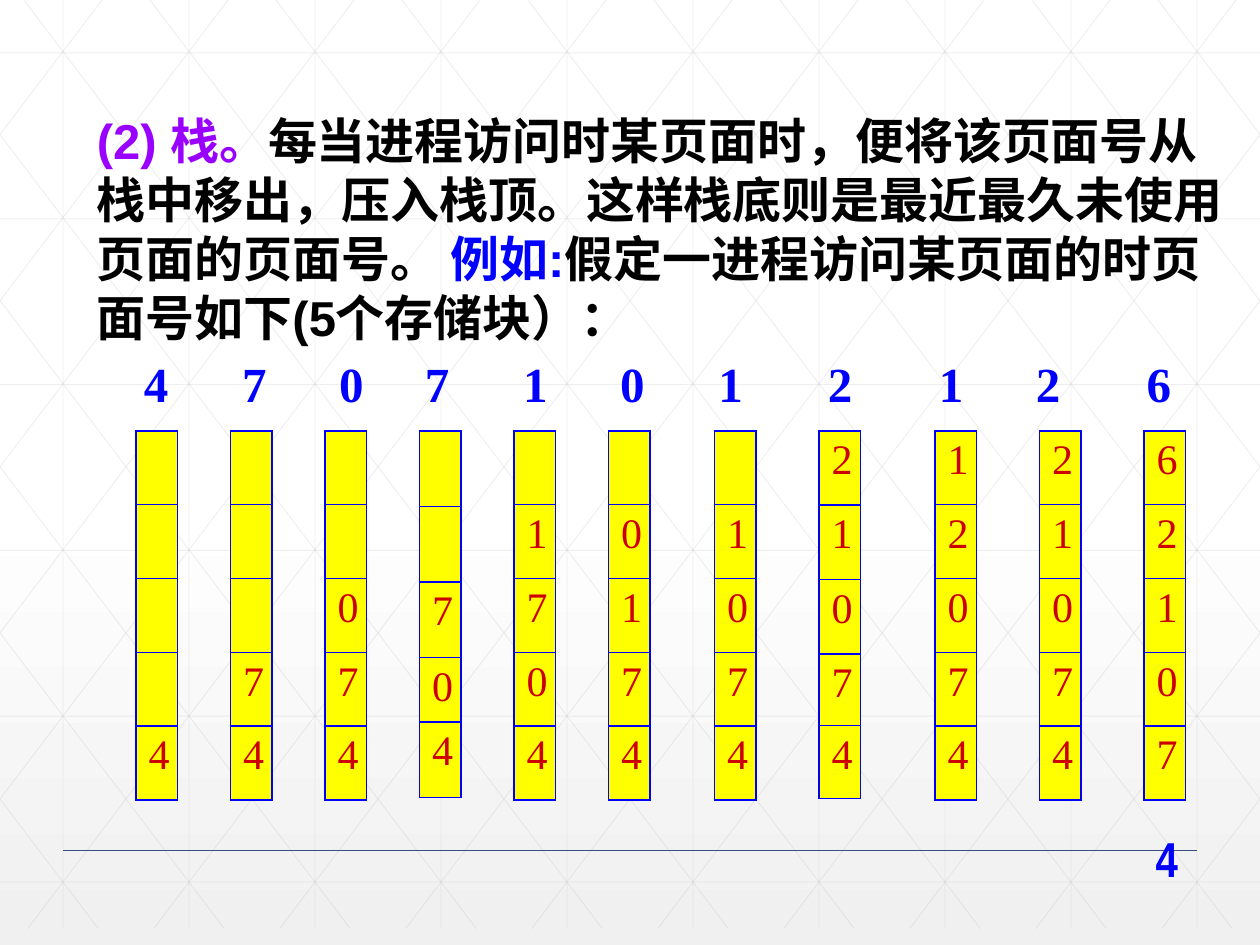
from lxml.etree import SubElement
from pptx import Presentation
from pptx.dml.color import RGBColor
from pptx.enum.shapes import MSO_CONNECTOR
from pptx.enum.text import MSO_AUTO_SIZE, PP_ALIGN
from pptx.oxml.ns import qn
from pptx.util import Inches, Pt

WHITE = RGBColor(0xFF, 0xFF, 0xFF)
PALE_GRAY = RGBColor(0xF0, 0xF0, 0xF0)
GRID_GRAY = RGBColor(0xBF, 0xBF, 0xBF)
RULE_BLUE = RGBColor(0x38, 0x4C, 0x81)
PURPLE = RGBColor(0x99, 0x00, 0xFF)
BLACK = RGBColor(0x00, 0x00, 0x00)
BLUE = RGBColor(0x00, 0x00, 0xFF)
YELLOW = RGBColor(0xFF, 0xFF, 0x00)
RED = RGBColor(0xCC, 0x00, 0x00)

WIDTH, GRID_BOTTOM = 10, 7.37
DIAGONAL_RUN = 5.59  # horizontal travel of a full diagonal
STACK_TOP, STACK_WIDTH, DEPTH = 3.42, 0.33, 5
EVEN_ROWS = [0.586] * DEPTH

# Page visited: centre of its number, left of its stack, stack from the top down
VISITS = [
    ("4", 1.24, 1.08, "4"),
    ("7", 2.02, 1.83, "74"),
    ("0", 2.79, 2.58, "074"),
    ("7", 3.47, 3.33, "704"),
    ("1", 4.25, 4.08, "1704"),
    ("0", 5.02, 4.83, "0174"),
    ("1", 5.8, 5.67, "1074"),
    ("2", 6.67, 6.5, "21074"),
    ("1", 7.55, 7.42, "12074"),
    ("2", 8.32, 8.25, "21074"),
    ("6", 9.2, 9.08, "62107"),
]
UNEVEN_ROWS = {3: [0.6, 0.6, 0.6, 0.51, 0.6], 7: [0.59, 0.59, 0.59, 0.57, 0.58]}


def add_line(s, x1, y1, x2, y2, color, width, alpha=None):
    line = s.shapes.add_connector(
        MSO_CONNECTOR.STRAIGHT, Inches(x1), Inches(y1), Inches(x2), Inches(y2))
    line.line.color.rgb = color
    line.line.width = Pt(width)
    sp_pr = line._element.spPr
    if alpha is not None:
        clr = sp_pr.find(".//" + qn("a:srgbClr"))
        SubElement(clr, qn("a:alpha")).set("val", str(alpha * 1000))
    SubElement(sp_pr, qn("a:effectLst"))


def add_run(p, text, font, size, color, bold=False):
    r = p.add_run()
    r.text = text
    r.font.name = font
    r.font.size = Pt(size)
    r.font.bold = bold
    r.font.color.rgb = color


def add_text(s, left, top, width, height, runs, font, wrap=True):
    tf = s.shapes.add_textbox(
        Inches(left), Inches(top), Inches(width), Inches(height)).text_frame
    tf.word_wrap = wrap
    tf.auto_size = MSO_AUTO_SIZE.SHAPE_TO_FIT_TEXT
    p = tf.paragraphs[0]
    for text, color in runs:
        add_run(p, text, font, 28, color, bold=True)
    return p


def add_background(s):
    fill = s.background.fill
    fill.gradient()
    fill.gradient_angle = 270
    for stop, position, color in zip(
            fill.gradient_stops, (0.53, 1), (WHITE, PALE_GRAY)):
        stop.position = position
        stop.color.rgb = color


def add_grid(s):
    lines = [(i + 0.5, 0, i + 0.5, GRID_BOTTOM) for i in range(WIDTH)]
    lines += [(0, 0.42 + 1.316 * i, WIDTH, 0.42 + 1.316 * i) for i in range(6)]
    slope = GRID_BOTTOM / DIAGONAL_RUN
    for i in range(-5, WIDTH):
        start = i + 0.19
        x1, x2 = max(start, 0), min(start + DIAGONAL_RUN, WIDTH)
        y1, y2 = (x1 - start) * slope, (x2 - start) * slope
        lines += [(x1, y1, x2, y2), (WIDTH - x1, y1, WIDTH - x2, y2)]
    for ends in lines:
        add_line(s, *ends, GRID_GRAY, 0.5, alpha=25)


def add_borders(cell):
    tc_pr = cell._tc.get_or_add_tcPr()
    for i, side in enumerate(("lnL", "lnR", "lnT", "lnB")):
        ln = tc_pr.makeelement(qn("a:" + side), {"w": str(Pt(1))})
        fill = SubElement(ln, qn("a:solidFill"))
        SubElement(fill, qn("a:srgbClr")).set("val", str(BLUE))
        tc_pr.insert(i, ln)


def add_stack(s, left, pages, heights):
    table = s.shapes.add_table(
        DEPTH, 1, Inches(left), Inches(STACK_TOP),
        Inches(STACK_WIDTH), Inches(sum(heights))).table
    table.first_row = table.horz_banding = False
    for row, height, page in zip(table.rows, heights, pages.rjust(DEPTH)):
        row.height = Inches(height)
        cell = row.cells[0]
        cell.fill.solid()
        cell.fill.fore_color.rgb = YELLOW
        add_borders(cell)
        if page != " ":
            p = cell.text_frame.paragraphs[0]
            before = SubElement(p._p.get_or_add_pPr(), qn("a:spcBef"))
            SubElement(before, qn("a:spcPct")).set("val", "20000")
            add_run(p, page, "Times New Roman", 24, RED)


def add_visit_row(s):
    left, inset = 0.75, 0.1
    text = "".join("\t" + page for page, *_ in VISITS)
    p = add_text(s, left, 2.76, 8.83, 0.57, [(text, BLUE)], "Times New Roman")
    tabs = SubElement(p._p.get_or_add_pPr(), qn("a:tabLst"))
    for _, center, *_ in VISITS:
        tab = SubElement(tabs, qn("a:tab"))
        tab.set("pos", str(Inches(center - left - inset)))
        tab.set("algn", "ctr")


def main():
    prs = Presentation()
    prs.slide_width, prs.slide_height = Inches(10), Inches(7.5)
    s = prs.slides.add_slide(prs.slide_layouts[6])

    # Backdrop and footer rule
    add_background(s)
    add_grid(s)
    add_line(s, 0.5, 6.75, 9.5, 6.75, RULE_BLUE, 1)

    # Explanation
    add_text(s, 0.67, 0.83, 9.17, 1.97, [
        ("(2) 栈。", PURPLE),
        ("每当进程访问时某页面时，便将该页面号从栈中移出，压入栈顶。"
         "这样栈底则是最近最久未使用页面的页面号。 ", BLACK),
        ("例如:", BLUE),
        ("假定一进程访问某页面的时页面号如下(5个存储块）：", BLACK),
    ], "Arial")

    # Visited pages and the stack after each visit
    add_visit_row(s)
    for i, (_, _, left, pages) in enumerate(VISITS):
        add_stack(s, left, pages, UNEVEN_ROWS.get(i, EVEN_ROWS))

    # Page number
    p = add_text(s, 9.07, 6.53, 0.38, 0.57, [("4", BLUE)], "Arial Narrow", wrap=False)
    p.alignment = PP_ALIGN.CENTER

    prs.save("out.pptx")


if __name__ == "__main__":
    main()
